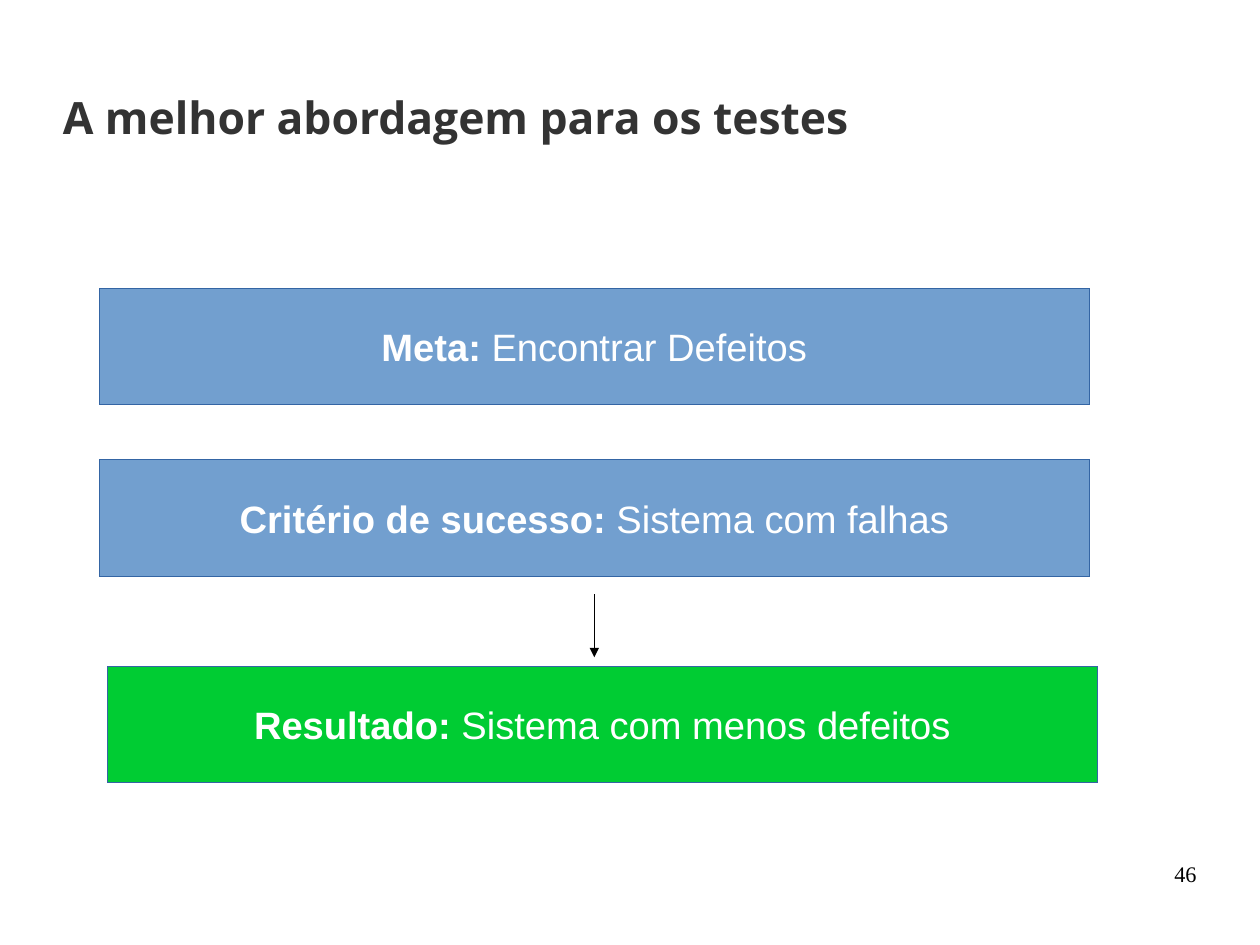
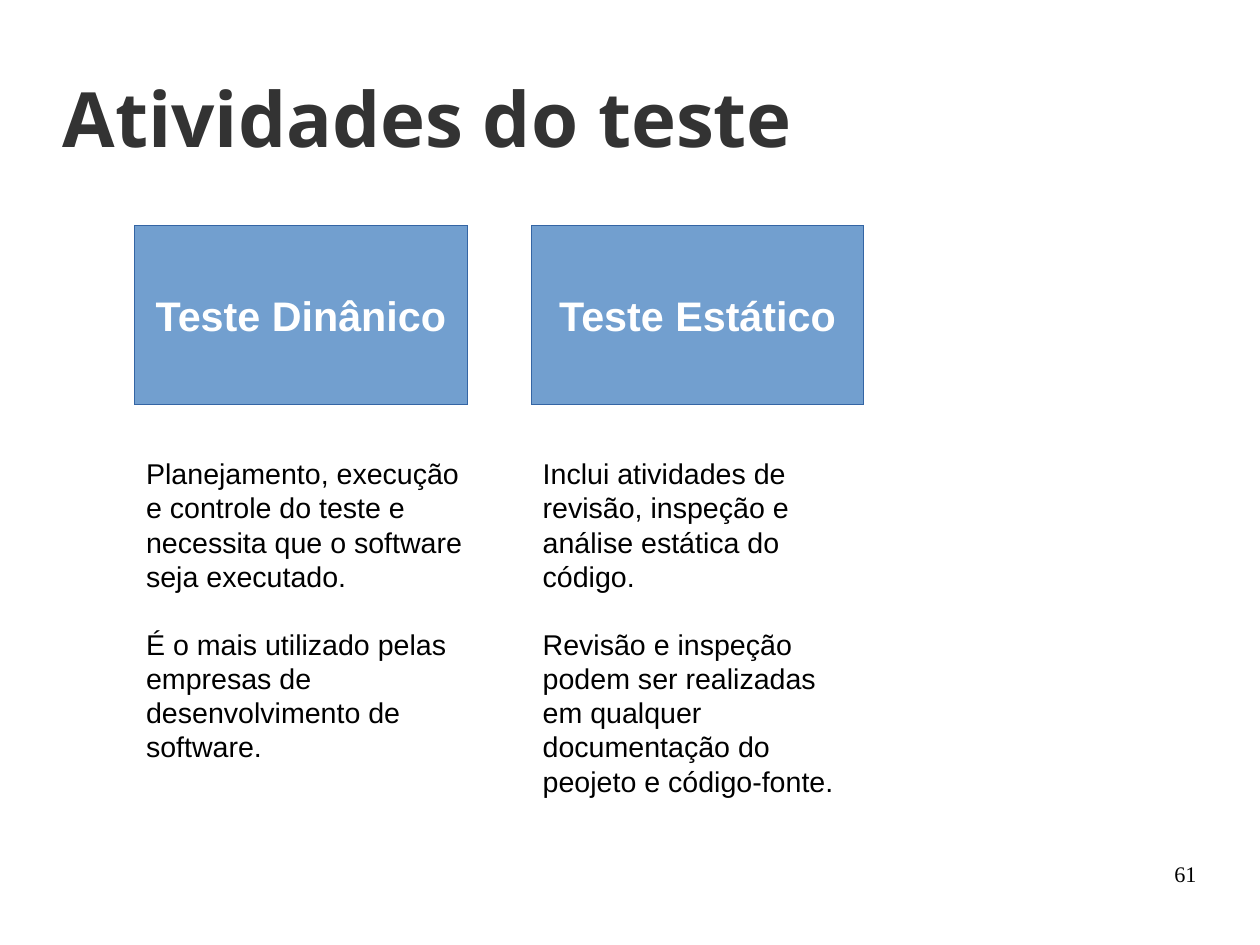
import pptx
import pptx.dml.color
import pptx.enum.shapes
import pptx.enum.text
import pptx.oxml
import pptx.oxml.ns
import pptx.util

Inches = pptx.util.Inches
Pt = pptx.util.Pt
ALIGN = pptx.enum.text.PP_ALIGN
ANCHOR = pptx.enum.text.MSO_ANCHOR

# Content
APPROACH = {
    "title": "A melhor abordagem para os testes",
    "title_size": 28,
    "number": "46",
    "goals": [("Meta:", " Encontrar Defeitos"),
              ("Critério de sucesso:", " Sistema com falhas")],
    "result": ("Resultado:", " Sistema com menos defeitos"),
}
ACTIVITIES = {
    "title": "Atividades do teste",
    "title_size": 48,
    "number": "61",
    "columns": [
        ("Teste Dinânico", 2.99,
         ["Planejamento, execução e controle do teste e necessita que o "
          "software seja executado.",
          "É o mais utilizado pelas empresas de desenvolvimento de software."]),
        ("Teste Estático", 2.91,
         ["Inclui atividades de revisão, inspeção e análise estática do código.",
          "Revisão e inspeção podem ser realizadas em qualquer documentação do "
          "peojeto e código-fonte."]),
    ],
}

# Shared style
BLUE, GREEN, BORDER = "729FCF", "00CC33", "3465A4"
WHITE, BLACK, TITLE_GREY = "FFFFFF", "000000", "333333"
BODY_FONT, TITLE_FONT, NUMBER_FONT = "Arial", "Open Sans", "Times New Roman"


def colour(value):
    return pptx.dml.color.RGBColor.from_string(value)


def style(font, name, size, value, bold=None):
    font.name, font.size, font.bold = name, Pt(size), bold
    font.color.rgb = colour(value)


def set_margins(frame, horizontal, vertical):
    frame.margin_left = frame.margin_right = Inches(horizontal)
    frame.margin_top = frame.margin_bottom = Inches(vertical)


def set_hairline(shape, value):
    """Draw the thinnest line; a zero width must be written out in the XML."""
    shape.line.color.rgb = colour(value)
    outline = shape._element.spPr.find(pptx.oxml.ns.qn("a:ln"))
    outline.set("w", "0")
    return outline


def start_slide(deck, content):
    """Add a slide with its title and page number."""
    slide = deck.slides.add_slide(deck.slide_layouts[5])
    title = slide.shapes.title
    height = 0.79 if content["title_size"] < 40 else 0.91
    title.left, title.top = Inches(0.55), Inches(1.02 - height / 2)
    title.width, title.height = Inches(7.87), Inches(height)
    frame = title.text_frame
    frame.text = content["title"]
    frame.vertical_anchor = ANCHOR.MIDDLE
    frame.auto_size = pptx.enum.text.MSO_AUTO_SIZE.NONE
    set_margins(frame, 0, 0)
    frame.paragraphs[0].alignment = ALIGN.LEFT
    style(frame.paragraphs[0].font, TITLE_FONT, content["title_size"], TITLE_GREY, True)

    add_text(slide, (7.9, 7.53, 2.57, 0.57), [content["number"]],
             NUMBER_FONT, 14, (0, 0), ALIGN.RIGHT)
    return slide


def add_text(slide, place, lines, font, size, margins, align=ALIGN.LEFT, gap=0):
    frame = slide.shapes.add_textbox(*map(Inches, place)).text_frame
    frame.word_wrap = True
    set_margins(frame, *margins)
    for index, line in enumerate(lines):
        paragraph = frame.add_paragraph() if index else frame.paragraphs[0]
        paragraph.text = line
        paragraph.alignment = align
        if index:
            paragraph.space_before = Pt(gap)
        style(paragraph.font, font, size, BLACK)


def add_box(slide, place, label, detail, size, fill=BLUE):
    """Add a filled box with a bold label and an optional plain detail."""
    box = slide.shapes.add_shape(pptx.enum.shapes.MSO_SHAPE.RECTANGLE,
                                 *map(Inches, place))
    box.shadow.inherit = False
    box.fill.solid()
    box.fill.fore_color.rgb = colour(fill)
    set_hairline(box, BORDER)
    frame = box.text_frame
    frame.word_wrap = False
    frame.vertical_anchor = ANCHOR.MIDDLE
    set_margins(frame, 0.1, 0.05)
    paragraph = frame.paragraphs[0]
    paragraph.alignment = ALIGN.CENTER
    style(paragraph.font, BODY_FONT, size, WHITE)
    for text, bold in ((label, True), (detail, False)):
        if text:
            run = paragraph.add_run()
            run.text = text
            style(run.font, BODY_FONT, size, WHITE, bold)


def add_arrow(slide, x, top, bottom):
    arrow = slide.shapes.add_connector(
        pptx.enum.shapes.MSO_CONNECTOR.STRAIGHT,
        Inches(x), Inches(top), Inches(x), Inches(bottom))
    set_hairline(arrow, BLACK).append(pptx.oxml.parse_xml(
        '<a:tailEnd %s type="triangle"/>' % pptx.oxml.ns.nsdecls("a")))
    arrow._element.spPr.append(pptx.oxml.parse_xml(
        "<a:effectLst %s/>" % pptx.oxml.ns.nsdecls("a")))


def build_approach(deck):
    slide = start_slide(deck, APPROACH)
    left, top, width, height, pitch = 0.87, 2.52, 8.66, 1.02, 1.5
    for row, (label, detail) in enumerate(APPROACH["goals"]):
        add_box(slide, (left, top + row * pitch, width, height), label, detail, 24)
    add_box(slide, (0.94, 5.83, width, height), *APPROACH["result"], 24, GREEN)
    add_arrow(slide, left + width / 2, 5.2, 5.75)


def build_activities(deck):
    slide = start_slide(deck, ACTIVITIES)
    left, pitch = 1.18, 3.47
    for index, (heading, text_width, lines) in enumerate(ACTIVITIES["columns"]):
        x = left + index * pitch
        add_box(slide, (x, 1.97, 2.91, 1.57), heading, "", 26)
        add_text(slide, (x, 3.94, text_width, 3.3), lines,
                 BODY_FONT, 18, (0.1, 0.05), gap=21)


def main():
    deck = pptx.Presentation()
    # 28 by 21 cm page, which is 11.02 by 8.27 inches
    deck.slide_width, deck.slide_height = Pt(793.75), Pt(595.25)
    build_approach(deck)
    build_activities(deck)
    deck.save("out.pptx")


if __name__ == "__main__":
    main()
